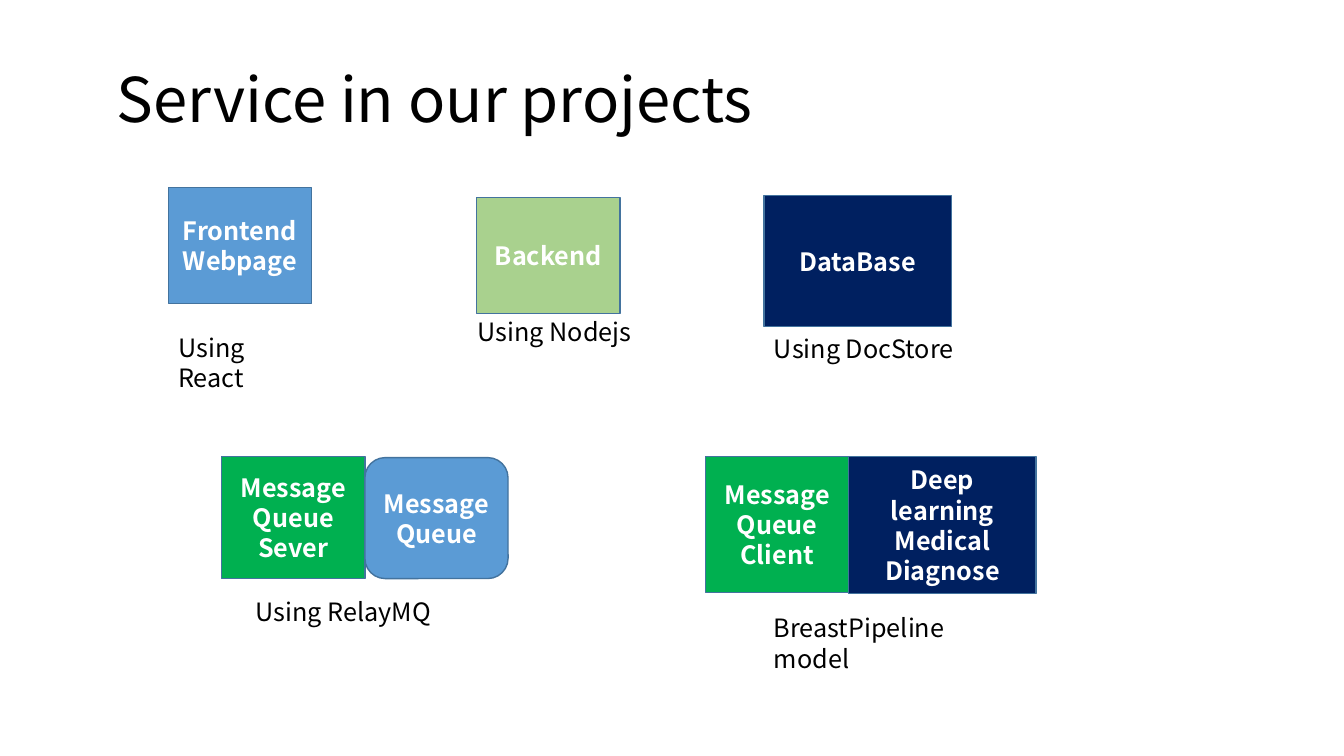
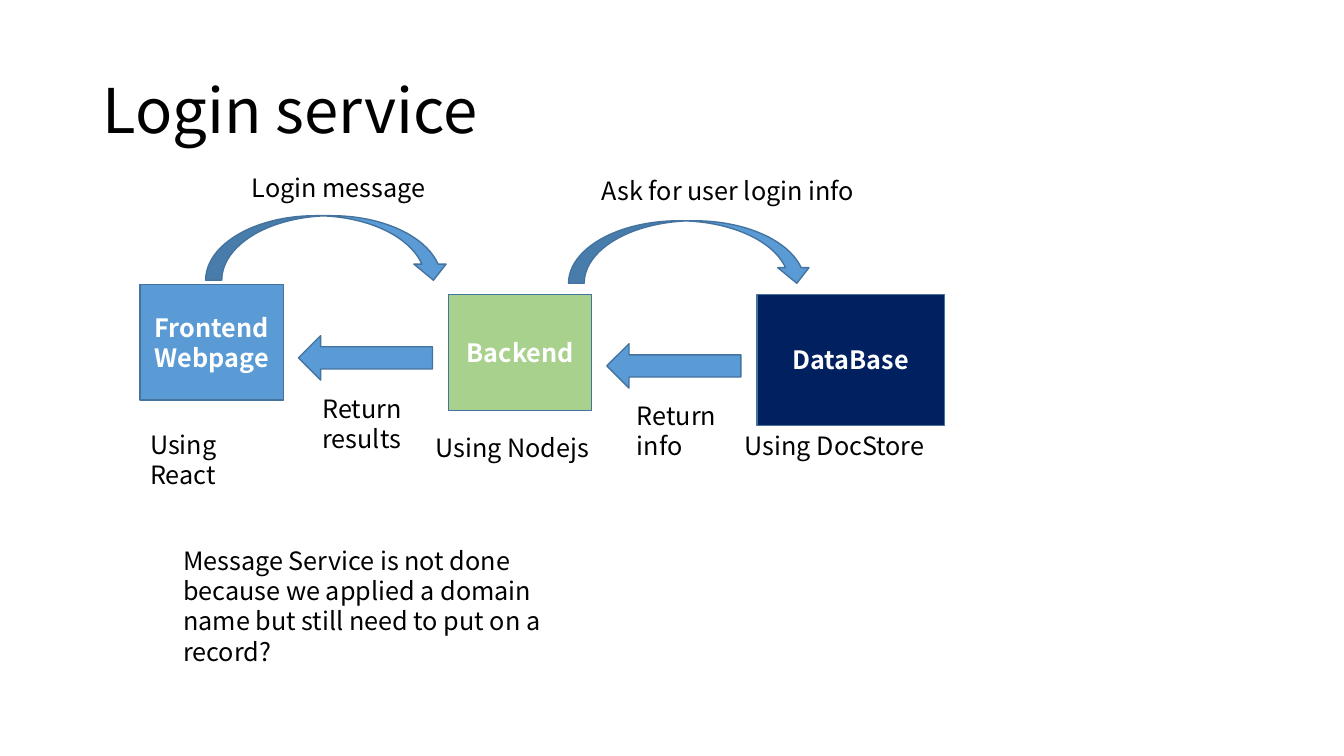
from pptx import Presentation
from pptx.dml.color import RGBColor
from pptx.enum.shapes import MSO_SHAPE
from pptx.enum.text import MSO_ANCHOR, MSO_AUTO_SIZE, PP_ALIGN
from pptx.util import Inches, Pt

RECTANGLE = MSO_SHAPE.RECTANGLE
ROUNDED = MSO_SHAPE.ROUNDED_RECTANGLE
CURVED_ARROW = MSO_SHAPE.CURVED_DOWN_ARROW
STRAIGHT_ARROW = MSO_SHAPE.RIGHT_ARROW
MIDDLE = MSO_ANCHOR.MIDDLE
CENTER = PP_ALIGN.CENTER
GROW = MSO_AUTO_SIZE.SHAPE_TO_FIT_TEXT

FONT = "Noto Sans CJK SC"
BLACK, WHITE = "000000", "FFFFFF"
BLUE, LIGHT_GREEN, NAVY, GREEN = "5B9BD5", "A9D18E", "002060", "00B050"
OUTLINE = "43739E"

# All positions and sizes count cells of a square grid, ten to the inch.
CELL = Inches(0.1)
COLUMNS, ROWS = 133.33, 75
TITLE_SIZE = (115, 14.5)
SMALL_WIDTH, LARGE_WIDTH = 14.2, 18.6
LINE_HEIGHT = 4

# Service: label, fill, box size, caption, caption width
SERVICES = {
    "frontend": ("Frontend\nWebpage", BLUE, (SMALL_WIDTH, 11.5), "Using React", 15.5),
    "backend": ("Backend", LIGHT_GREEN, (SMALL_WIDTH, 11.5), "Using Nodejs", 18.7),
    "database": ("DataBase", NAVY, (LARGE_WIDTH, 13), "Using DocStore", 20.6),
}


def cells(*counts):
    """Turn counts of grid cells into lengths."""
    return [round(count * CELL) for count in counts]


def color(value):
    """Return the colour for a hex string."""
    return RGBColor.from_string(value)


def write(text_frame, text, size, text_color, bold=False, align=None, spacing=None):
    """Set the text, one paragraph a line, and format its runs."""
    text_frame.word_wrap = True
    text_frame.text = text
    for paragraph in text_frame.paragraphs:
        paragraph.alignment = align
        paragraph.line_spacing = spacing
        for run in paragraph.runs:
            run.font.name = FONT
            run.font.size = Pt(size)
            run.font.bold = bold
            run.font.color.rgb = color(text_color)


def add_title(slide, left, top, text):
    """Add the large slide title."""
    box = slide.shapes.add_textbox(*cells(left, top, *TITLE_SIZE))
    box.text_frame.vertical_anchor = MIDDLE
    write(box.text_frame, text, 44, BLACK, spacing=0.9)


def add_caption(slide, left, top, width, text, lines=1):
    """Add plain text in a box that grows with it."""
    box = slide.shapes.add_textbox(*cells(left, top, width, LINE_HEIGHT * lines))
    write(box.text_frame, text, 18, BLACK)
    box.text_frame.auto_size = GROW


def add_outlined(slide, kind, left, top, size, fill):
    """Add a filled preset shape with the shared outline."""
    shape = slide.shapes.add_shape(kind, *cells(left, top, *size))
    shape.shadow.inherit = False
    shape.fill.solid()
    shape.fill.fore_color.rgb = color(fill)
    shape.line.color.rgb = color(OUTLINE)
    shape.line.width = Pt(1)
    return shape


def add_node(slide, left, top, size, fill, text, kind=RECTANGLE):
    """Add a box with a bold white label."""
    shape = add_outlined(slide, kind, left, top, size, fill)
    shape.text_frame.vertical_anchor = MIDDLE
    write(shape.text_frame, text, 18, WHITE, bold=True, align=CENTER)


def add_service(slide, name, box_at, caption_at):
    """Add a service box and the caption naming its technology."""
    label, fill, size, caption, caption_width = SERVICES[name]
    add_node(slide, *box_at, size, fill, label)
    add_caption(slide, *caption_at, caption_width, caption)


def add_request(slide, left, top, height):
    """Add a curved arrow to the next service."""
    add_outlined(slide, CURVED_ARROW, left, top, (24.2, height), BLUE)


def add_reply(slide, left, top):
    """Add a straight arrow back to the previous service."""
    add_outlined(slide, STRAIGHT_ARROW, left, top, (13.3, 4.4), BLUE).rotation = 180


def build_overview(slide):
    """Show every service of the projects."""
    add_title(slide, 10.6, 2.9, "Service in our projects")
    add_service(slide, "frontend", (16.7, 18.6), (16.7, 32.5))
    add_service(slide, "backend", (47.3, 19.6), (46.4, 30.9))
    add_service(slide, "database", (75.8, 19.4), (75.8, 32.6))

    queue_top, server_left, client_left = 45.3, 22, 70
    add_node(slide, server_left, queue_top, (SMALL_WIDTH, 12.1), GREEN,
             "Message Queue\nSever")
    add_node(slide, server_left + SMALL_WIDTH, queue_top + 0.1, (SMALL_WIDTH, 12),
             BLUE, "Message Queue", ROUNDED)
    add_caption(slide, 24.4, 58.7, 22.6, "Using RelayMQ")
    add_node(slide, client_left, queue_top, (SMALL_WIDTH, 13.5), GREEN,
             "Message Queue\nClient")
    add_node(slide, client_left + SMALL_WIDTH, queue_top, (LARGE_WIDTH, 13.6),
             NAVY, "Deep learning\nMedical Diagnose")
    add_caption(slide, 75.8, 60.3, 20.6, "BreastPipeline model", lines=2)


def build_login(slide):
    """Show the messages that pass during a login."""
    add_title(slide, 9.2, 4, "Login service")
    add_service(slide, "frontend", (13.9, 28.2), (13.9, 42.1))
    add_service(slide, "backend", (44.5, 29.2), (42.2, 42.4))
    add_service(slide, "database", (75.1, 29.2), (72.9, 42.2))

    add_request(slide, 20.4, 21.4, 6.4)
    add_caption(slide, 24, 16.6, 22, "Login message")
    add_reply(slide, 29.6, 33.3)
    add_caption(slide, 31, 38.5, 11.8, "Return results", lines=2)

    add_request(slide, 56.4, 21.9, 6.2)
    add_caption(slide, 58.7, 16.9, 27.3, "Ask for user login info")
    add_reply(slide, 60.2, 34.1)
    add_caption(slide, 62.2, 39.2, 11.8, "Return info", lines=2)

    add_caption(slide, 17.2, 53.6, 41.5,
                "Message Service is not done because we applied a domain name "
                "but still need to put on a record?", lines=3)


def main():
    """Build the presentation and save it."""
    presentation = Presentation()
    presentation.slide_width, presentation.slide_height = cells(COLUMNS, ROWS)
    blank = presentation.slide_layouts[6]
    for build in (build_overview, build_login):
        build(presentation.slides.add_slide(blank))
    presentation.save("out.pptx")


main()
